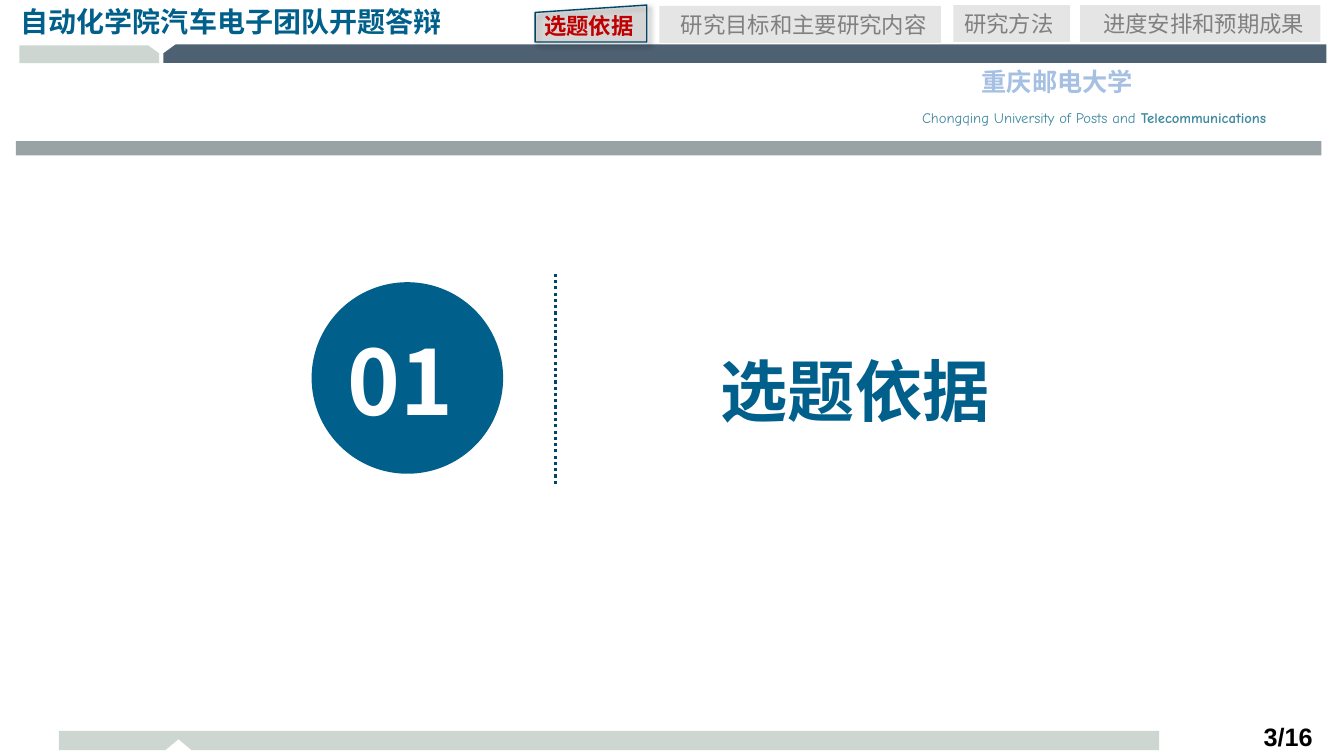
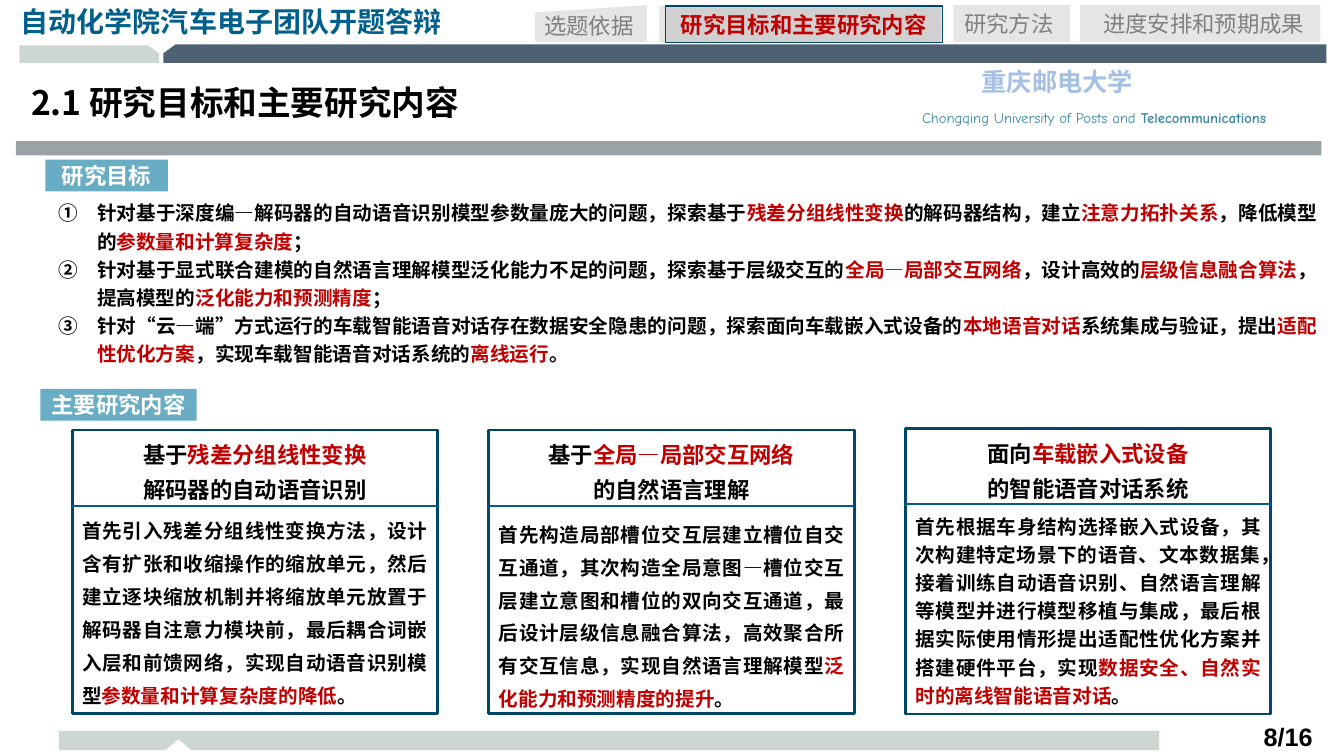
import pptx
import pptx.dml.color
import pptx.enum.dml
import pptx.enum.shapes
import pptx.enum.text
import pptx.oxml.ns
import pptx.shapes.base
import pptx.slide
import pptx.util
from dataclasses import dataclass
from lxml import etree
from typing import NamedTuple, Optional

COLUMNS, ROWS = 160, 90
CELL = pptx.util.Inches(1) // 12

CJK = "Noto Sans CJK SC"
BLUE, NAVY, DIVIDER, SKY = "00608B", "004767", "005E88", "68ADC3"
RED, BLACK, WHITE, GRAY = "C00000", "000000", "FFFFFF", "808080"
SAGE, SLATE, STEEL, TEAL, PALE_BLUE = "CDD6D1", "4E6172", "99A2A5", "4089A0", "A5C0E2"

Align = pptx.enum.text.PP_ALIGN
Anchor = pptx.enum.text.MSO_ANCHOR
AutoSize = pptx.enum.text.MSO_AUTO_SIZE
Preset = pptx.enum.shapes.MSO_SHAPE
Shape = pptx.shapes.base.BaseShape
Page = pptx.slide.Slide
qn = pptx.oxml.ns.qn


class Area(NamedTuple):
    column: float
    row: float
    columns: float
    rows: float


@dataclass(frozen=True)
class Tab:
    text: str
    plate: Area
    label: Area
    align: Align = Align.CENTER
    preset: Preset = Preset.RECTANGLE
    framed_label: bool = False


@dataclass(frozen=True)
class Card:
    heading: str
    body: str
    top: float = 51.2
    body_top: float = 60.1
    spacing: float = 1.4


TABS = (
    Tab("选题依据", Area(63.7, 0.6, 13.3, 4.4), Area(63.6, 0.85, 13.4, 4.4),
        Align.LEFT, Preset.FLOWCHART_MANUAL_INPUT),
    Tab("研究目标和主要研究内容", Area(78.5, 0.7, 33.5, 4.4), Area(79.2, 0.7, 33, 4.4),
        framed_label=True),
    Tab("研究方法", Area(113.5, 0.6, 13.9, 4.4), Area(113.6, 0.6, 13.8, 4.4), Align.LEFT),
    Tab("进度安排和预期成果", Area(128.6, 0.6, 28.6, 4.4), Area(129.2, 0.6, 28.2, 4.4)),
)

BANDS = (
    (SAGE, ((7, 87), (138, 87), (138, 89.3), (22.8, 89.3), (21.25, 88), (19.7, 89.3), (7, 89.3))),
    (SAGE, ((2.3, 5.4), (17.65, 5.4), (18.95, 6.35), (18.95, 7.5), (2.3, 7.5))),
    (SLATE, ((19.45, 6.35), (20.9, 5.3), (157.9, 5.3), (157.9, 7.5), (19.45, 7.5))),
)

GOALS = "\n".join((
    "针对基于深度编—解码器的自动语音识别模型参数量庞大的问题，探索基于*残差分组线性变换*的解码器结构，"
    "建立*注意力拓扑关系*，降低模型的*参数量和计算复杂度*；",
    "针对基于显式联合建模的自然语言理解模型泛化能力不足的问题，探索基于层级交互的*全局—局部交互网络*，"
    "设计高效的*层级信息融合算法*，提高模型的*泛化能力和预测精度*；",
    "针对“云—端”方式运行的车载智能语音对话存在数据安全隐患的问题，探索面向车载嵌入式设备的*本地语音对话*"
    "系统集成与验证，提出*适配性优化方案*，实现车载智能语音对话系统的*离线运行*。",
))

TAGS = (
    ("研究目标", Area(5.4, 19, 14.6, 3.8)),
    ("主要研究内容", Area(4.8, 46.3, 18.6, 3.8)),
)

CARDS = (
    Card("基于*残差分组线性变换*\n解码器的自动语音识别",
         "首先引入残差分组线性变换方法，设计含有扩张和收缩操作的缩放单元，然后建立逐块缩放机制并将缩放单元"
         "放置于解码器自注意力模块前，最后耦合词嵌入层和前馈网络，实现自动语音识别模型"
         "*参数量和计算复杂度的降低*。"),
    Card("基于*全局—局部交互网络*\n的自然语言理解",
         "首先构造局部槽位交互层建立槽位自交互通道，其次构造全局意图—槽位交互层建立意图和槽位的双向交互通道，"
         "最后设计层级信息融合算法，高效聚合所有交互信息，实现自然语言理解模型"
         "*泛化能力和预测精度的提升*。", body_top=60.5),
    Card("面向*车载嵌入式设备*\n的智能语音对话系统",
         "首先根据车身结构选择嵌入式设备，其次构建特定场景下的语音、文本数据集，接着训练自动语音识别、"
         "自然语言理解等模型并进行模型移植与集成，最后根据实际使用情形提出适配性优化方案并搭建硬件平台，"
         "实现*数据安全、自然实时的离线智能语音对话*。", top=51, spacing=1.2),
)
CARD_LEFT, CARD_PITCH, CARD_WIDTH, CARD_BOTTOM, HEADING_ROWS = 8.6, 49.6, 43.5, 85, 9


def cells(count: float) -> int:
    return round(count * CELL)


def rgb(color: str) -> pptx.dml.color.RGBColor:
    return pptx.dml.color.RGBColor.from_string(color)


def place(box: Shape, area: Area) -> Shape:
    box.left, box.top, box.width, box.height = map(cells, area)
    return box


def paint(box: Shape, fill: Optional[str] = None, alpha: int = 100,
          line: Optional[str] = None, weight: float = 1) -> Shape:
    if fill:
        box.fill.solid()
        box.fill.fore_color.rgb = rgb(fill)
        if alpha < 100:
            tint = box.element.spPr.find(qn("a:solidFill")).find(qn("a:srgbClr"))
            etree.SubElement(tint, qn("a:alpha"), val=str(alpha * 1000))
    else:
        box.fill.background()
    if line:
        box.line.color.rgb = rgb(line)
        box.line.width = pptx.util.Pt(weight)
    else:
        box.line.fill.background()
    return box


def add_box(page: Page, area: Area, preset: Preset = Preset.RECTANGLE, **look) -> Shape:
    box = page.shapes.add_shape(preset, *map(cells, area))
    box.shadow.inherit = False
    return paint(box, **look)


def cast_shadow(box: Shape) -> None:
    effects = box.element.spPr.find(qn("a:effectLst"))
    shadow = etree.SubElement(effects, qn("a:outerShdw"), blurRad=str(pptx.util.Pt(4)),
                              dist=str(pptx.util.Pt(3)), dir="2700000", algn="tl")
    tint = etree.SubElement(shadow, qn("a:srgbClr"), val=BLACK)
    etree.SubElement(tint, qn("a:alpha"), val="40000")


def add_line(page: Page, start: tuple[float, float], end: tuple[float, float],
             color: str, weight: float, dotted: bool = False) -> None:
    line = page.shapes.add_connector(pptx.enum.shapes.MSO_CONNECTOR.STRAIGHT,
                                     *map(cells, start + end))
    line.line.color.rgb = rgb(color)
    line.line.width = pptx.util.Pt(weight)
    if dotted:
        line.line.dash_style = pptx.enum.dml.MSO_LINE.ROUND_DOT
    etree.SubElement(line.element.spPr, qn("a:effectLst"))


def add_band(page: Page, color: str, points: tuple[tuple[float, float], ...]) -> None:
    corners = [(cells(x), cells(y)) for x, y in points]
    builder = page.shapes.build_freeform(*corners[0])
    builder.add_line_segments(corners[1:], close=True)
    band = builder.convert_to_shape()
    band.shadow.inherit = False
    paint(band, fill=color)


def write(box: Shape, text: str, *, size: float, color: str = BLACK, accent: str = RED,
          font: str = CJK, bold: bool = True, accent_bold: bool = True,
          align: Align = Align.LEFT, anchor: Anchor = Anchor.TOP, spacing: float = 1,
          wrap: bool = True, insets: tuple[float, float] = (0.1, 0.05),
          numbered: bool = False) -> None:
    frame = box.text_frame
    frame.word_wrap = wrap
    frame.auto_size = AutoSize.NONE if wrap else AutoSize.SHAPE_TO_FIT_TEXT
    frame.vertical_anchor = anchor
    frame.margin_left = frame.margin_right = pptx.util.Inches(insets[0])
    frame.margin_top = frame.margin_bottom = pptx.util.Inches(insets[1])
    for index, content in enumerate(text.split("\n")):
        para = frame.add_paragraph() if index else frame.paragraphs[0]
        para.alignment = align
        para.line_spacing = spacing
        para.space_before = pptx.util.Pt(0)
        if numbered:
            hang = pptx.util.Inches(0.38)
            properties = para._p.get_or_add_pPr()
            properties.set("marL", str(hang))
            properties.set("indent", str(-hang))
            etree.SubElement(properties, qn("a:buAutoNum"), type="circleNumDbPlain")
        for order, piece in enumerate(content.split("*")):
            if not piece:
                continue
            accented = order % 2 == 1
            span = para.add_run()
            span.text = piece
            span.font.size = pptx.util.Pt(size)
            span.font.bold = accent_bold if accented else bold
            span.font.color.rgb = rgb(accent if accented else color)
            span.font.name = font
            etree.SubElement(span._r.find(qn("a:rPr")), qn("a:ea"), typeface=font)


def add_text(page: Page, area: Area, text: str, **style) -> Shape:
    box = page.shapes.add_textbox(*map(cells, area))
    write(box, text, **style)
    return box


def draw_frame(page: Page, number: str) -> None:
    add_text(page, Area(102, 12.48, 56.5, 3), "Chongqing University of Posts and *Telecommunications*",
             size=10.5, font="Comic Neue", color=TEAL, accent=TEAL, bold=False,
             align=Align.CENTER, insets=(0.07, 0.04))
    add_text(page, Area(105.25, 7.44, 41.25, 4.5), "重庆邮电大学", size=18, color=PALE_BLUE,
             align=Align.CENTER, insets=(0.07, 0.04))
    for color, points in BANDS:
        add_band(page, color, points)
    add_box(page, Area(1.9, 16.8, 155.4, 1.7), fill=STEEL)
    add_text(page, Area(143.75, 85.3, 13.7, 4.7), number, size=18, font="Arial", align=Align.RIGHT)
    add_text(page, Area(1.3, -0.1, 53, 5.3), "自动化学院汽车电子团队开题答辩", size=20, color=BLUE,
             wrap=False)


def draw_tabs(page: Page, active: Tab) -> None:
    for tab in TABS:
        current = tab is active
        outlined = current and not tab.framed_label
        plate = add_box(page, tab.plate, tab.preset, fill=GRAY, alpha=20,
                        line=NAVY if outlined else None)
        if outlined:
            cast_shadow(plate)
        label = add_text(page, tab.label, tab.text, size=16, color=RED if current else GRAY,
                         bold=current, align=tab.align)
        if current and tab.framed_label:
            paint(label, fill=GRAY, alpha=20, line=NAVY)


def draw_card(page: Page, card: Card, left: float) -> None:
    add_box(page, Area(left, card.top, CARD_WIDTH, CARD_BOTTOM - card.top), line=NAVY, weight=2)
    divider = card.top + HEADING_ROWS
    add_line(page, (left, divider), (left + CARD_WIDTH, divider), DIVIDER, 1.5)
    add_text(page, Area(left, card.top - 0.2, CARD_WIDTH, HEADING_ROWS), card.heading,
             size=16, align=Align.CENTER, spacing=1.3)
    add_text(page, Area(left, card.body_top, CARD_WIDTH, CARD_BOTTOM - card.body_top), card.body,
             size=14, align=Align.JUSTIFY, spacing=card.spacing)


def add_page(deck, layout: int, number: str, active: Tab) -> Page:
    page = deck.slides.add_slide(deck.slide_layouts[layout])
    draw_frame(page, number)
    draw_tabs(page, active)
    return page


def build_section(deck) -> None:
    page = add_page(deck, 5, "3/16", TABS[0])
    write(place(page.shapes.title, Area(81, 40.8, 41.6, 11.3)), TABS[0].text, size=48,
          color=BLUE, align=Align.CENTER, wrap=False, insets=(0.13, 0.07))
    add_line(page, (66.1, 57.6), (66.1, 32.3), NAVY, 2.25, dotted=True)
    add_box(page, Area(37.1, 33.6, 22.8, 22.8), Preset.OVAL, fill=BLUE)
    add_text(page, Area(41.4, 38.8, 13.3, 13), "01", size=64, color=WHITE, wrap=False, insets=(0, 0))


def build_goals(deck) -> None:
    page = add_page(deck, 1, "8/16", TABS[1])
    write(place(page.shapes.title, Area(2.5, 8.8, 81.7, 6.6)), "2.1 研究目标和主要研究内容",
          size=24, anchor=Anchor.MIDDLE)
    write(place(page.placeholders[1], Area(5.8, 22.8, 152.2, 21.2)), GOALS, size=14,
          align=Align.JUSTIFY, spacing=1.2, numbered=True)
    for text, area in TAGS:
        write(add_box(page, area, fill=SKY), text, size=16, color=WHITE, align=Align.CENTER,
              anchor=Anchor.MIDDLE, insets=(0.05, 0))
    for index, card in enumerate(CARDS):
        draw_card(page, card, CARD_LEFT + index * CARD_PITCH)


def main() -> None:
    deck = pptx.Presentation()
    deck.slide_width, deck.slide_height = cells(COLUMNS), cells(ROWS)
    build_section(deck)
    build_goals(deck)
    deck.save("out.pptx")


if __name__ == "__main__":
    main()
